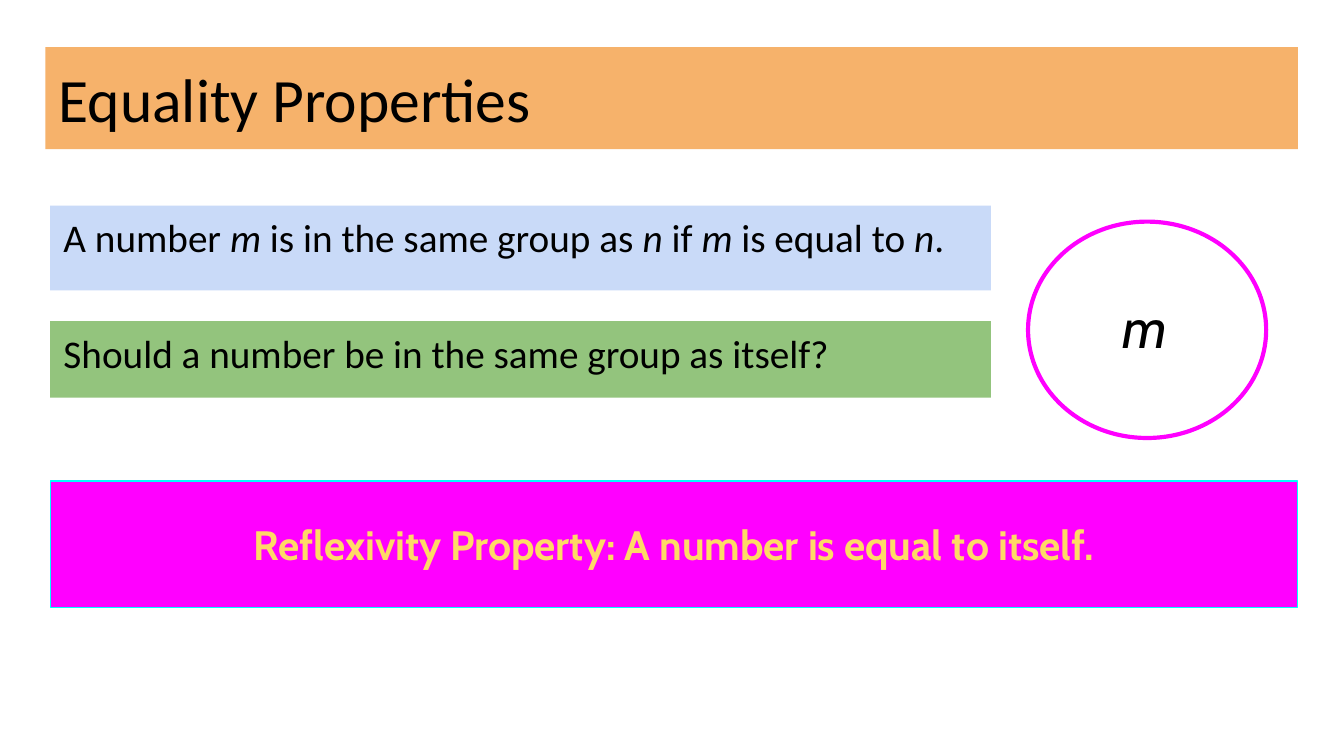
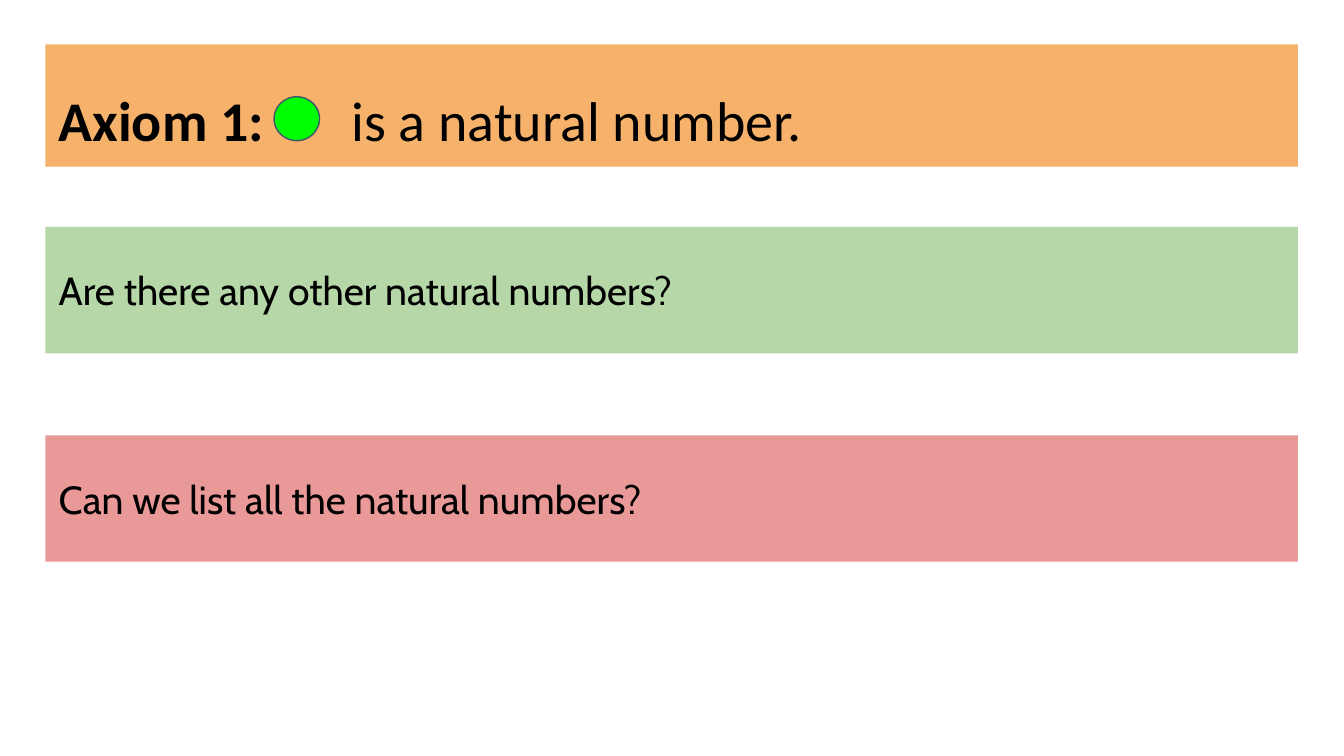
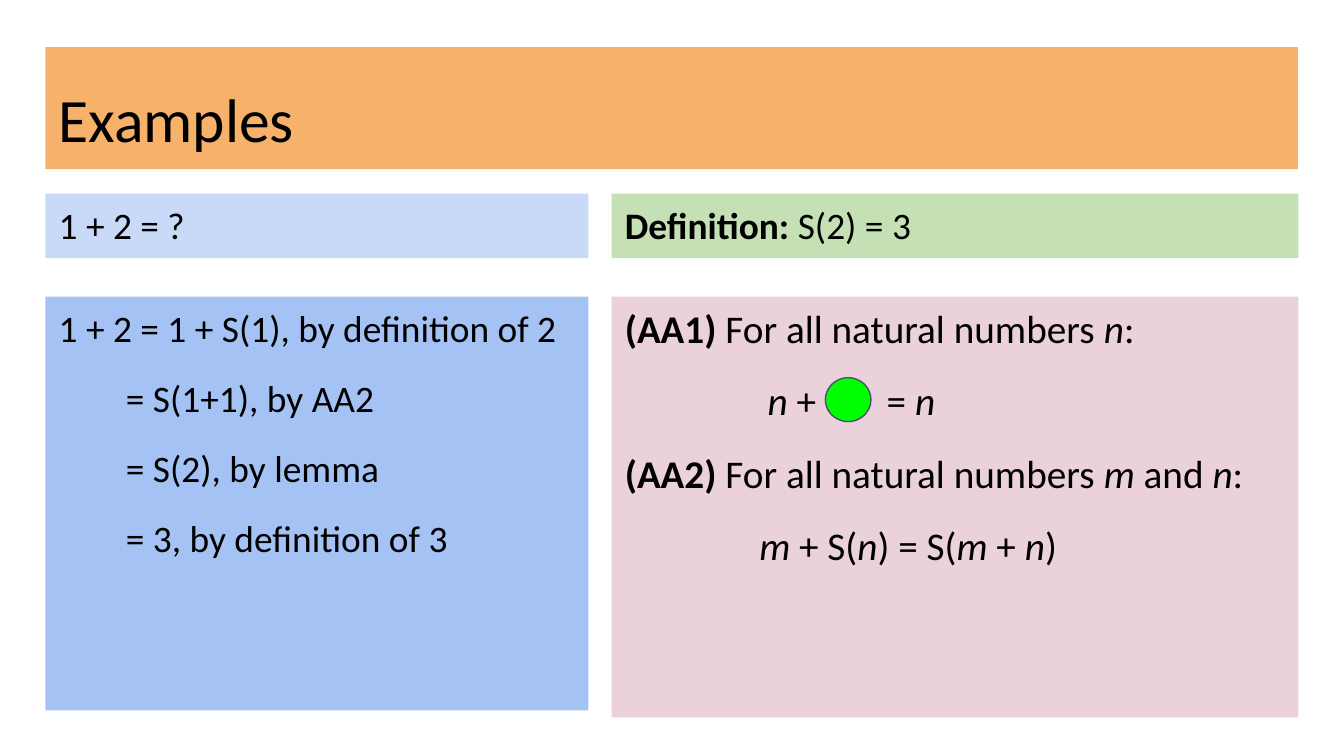
from pptx import Presentation
from pptx import util as u
from pptx.dml.color import RGBColor
from pptx.enum import shapes, text

COLORS = {
    "black": "000000",
    "orange": "F6B26B",
    "pale_blue": "C9DAF8",
    "blue": "A4C2F4",
    "green": "93C47D",
    "light_green": "B6D7A8",
    "mint": "C5E0B4",
    "red": "EA9999",
    "rose": "EAD1DC",
    "magenta": "FF00FF",
    "cyan": "00FFFF",
    "yellow": "FFD966",
    "lime": "00FF00",
    "slate": "44546A",
}
MARGIN = 0.86
BAND_WIDTH = 23.67
PADDING = u.Cm(0.25)
TOP, MIDDLE, BOTTOM = (text.MSO_ANCHOR.TOP, text.MSO_ANCHOR.MIDDLE,
                       text.MSO_ANCHOR.BOTTOM)


def color(name):
    return RGBColor.from_string(COLORS[name])


def add_gap(paragraph, points):
    """One space, widened by character spacing to leave room for a dot."""
    run = paragraph.add_run()
    run.text = " "
    run.font._element.set("spc", str(points * 100))


def add_runs(paragraph, marked, gap):
    """*Stars* mark bold, _underscores_ italic, and a tilde a wide gap."""
    for k, segment in enumerate(marked.split("~")):
        if k:
            add_gap(paragraph, gap)
        for i, part in enumerate(segment.split("*")):
            for j, piece in enumerate(part.split("_")):
                if piece:
                    run = paragraph.add_run()
                    run.text = piece
                    run.font.bold = i % 2 == 1
                    run.font.italic = j % 2 == 1


def write(shape, lines, size, font="Calibri", ink="black", anchor=TOP,
          align=text.PP_ALIGN.LEFT, spacing=0.9):
    """Each line is marked text, or a pair of marked text and layout options."""
    frame = shape.text_frame
    frame.word_wrap = True
    frame.vertical_anchor = anchor
    frame.margin_left = frame.margin_right = PADDING
    frame.margin_top = frame.margin_bottom = PADDING
    for index, line in enumerate(lines):
        marked, options = (line, {}) if isinstance(line, str) else line
        paragraph = frame.add_paragraph() if index else frame.paragraphs[0]
        paragraph.alignment = align
        paragraph.line_spacing = spacing
        if index:
            paragraph.space_before = u.Pt(16)
        properties = paragraph._p.get_or_add_pPr()
        properties.set("marL", str(u.Cm(options.get("left", 0))))
        properties.set("indent", str(u.Cm(options.get("first", 0))))
        add_runs(paragraph, marked, options.get("gap", 0))
        for run in paragraph.runs:
            run.font.size = u.Pt(size)
            run.font.name = font
            run.font.color.rgb = color(ink)


def add_figure(slide, kind, box, fill=None, line=None, weight=0.75):
    shape = slide.shapes.add_shape(kind, *map(u.Cm, box))
    shape.shadow.inherit = False
    if fill:
        shape.fill.solid()
        shape.fill.fore_color.rgb = color(fill)
    else:
        shape.fill.background()
    if line:
        shape.line.color.rgb = color(line)
        shape.line.width = u.Pt(weight)
    else:
        shape.line.fill.background()
    return shape


def add_panel(slide, box, fill, lines, size, line=None, **style):
    panel = add_figure(slide, shapes.MSO_SHAPE.RECTANGLE, box, fill, line)
    write(panel, lines, size, **style)


def add_title(slide, title, top=0.89, height=2.31, size=33, **options):
    add_panel(slide, (MARGIN, top, BAND_WIDTH, height), "orange",
              [(title, options)], size, anchor=BOTTOM)


def add_zero_dot(slide, left, top):
    add_figure(slide, shapes.MSO_SHAPE.OVAL, (left, top, 0.86, 0.83),
               "lime", "slate")


def build_equality(slide):
    add_title(slide, "Equality Properties", height=1.93)

    # Statement and question
    left = 0.95
    add_panel(slide, (left, 3.89, 17.78, 1.6), "pale_blue",
              ["A number _m_ is in the same group as _n_ if _m_ is equal to _n_."],
              21)
    add_panel(slide, (left, 6.07, 17.78, 1.45), "green",
              ["Should a number be in the same group as itself?"], 21)

    # Group holding m
    add_figure(slide, shapes.MSO_SHAPE.OVAL, (19.43, 4.19, 4.5, 4.09),
               line="magenta", weight=2.25)
    label = slide.shapes.add_textbox(*map(u.Cm, (20.96, 5.28, 2.08, 2.39)))
    write(label, ["_m_"], 30, font="Cabin", spacing=1.0)

    # Conclusion
    add_panel(slide, (left, 9.09, 23.57, 2.39), "magenta",
              ["*Reflexivity Property: A number is equal to itself.*"], 22,
              line="cyan", font="Cabin", ink="yellow", anchor=MIDDLE,
              align=text.PP_ALIGN.CENTER, spacing=1.0)


def build_axiom(slide):
    add_title(slide, "*Axiom 1:*~is a natural number.", top=0.84, size=30,
              gap=40)

    # Questions
    questions = [
        (4.29, "light_green", "Are there any other natural numbers?"),
        (8.23, "red", "Can we list all the natural numbers?"),
    ]
    for top, fill, question in questions:
        add_panel(slide, (MARGIN, top, BAND_WIDTH, 2.39), fill, [question], 21,
                  font="Cabin", anchor=MIDDLE, spacing=1.0)
    add_zero_dot(slide, 5.18, 1.83)


def build_examples(slide):
    add_title(slide, "Examples")
    left_column, right_column = (MARGIN, 10.26), (11.56, 12.98)

    # Headers of the two columns
    headers = [
        (left_column, "pale_blue", "1 + 2 = ?"),
        (right_column, "mint", "*Definition: *S(2) = 3"),
    ]
    for (left, width), fill, header in headers:
        add_panel(slide, (left, 3.66, width, 1.22), fill, [header], 20)

    # Worked sum
    left, width = left_column
    steps = ["= S(1+1), by AA2", "= S(2), by lemma", "= 3, by definition of 3"]
    add_panel(slide, (left, 5.61, width, 7.82), "blue",
              ["1 + 2 = 1 + S(1), by definition of 2"]
              + [(step, {"first": 1.27}) for step in steps], 20)

    # Addition axioms
    left, width = right_column
    add_panel(slide, (left, 5.61, width, 7.95), "rose", [
        "*(AA1)* For all natural numbers _n_:",
        ("_n_ +~= _n_", {"left": 2.7, "gap": 33}),
        "*(AA2)* For all natural numbers _m_ and _n_:",
        ("_m_ + S(_n_) = S(_m_ + _n_)", {"left": 2.54}),
    ], 21)
    add_zero_dot(slide, 15.6, 7.14)


def main():
    presentation = Presentation()
    presentation.slide_width = u.Cm(25.4)
    presentation.slide_height = u.Cm(14.29)
    blank = presentation.slide_layouts[6]
    for build in (build_equality, build_axiom, build_examples):
        build(presentation.slides.add_slide(blank))
    presentation.save("out.pptx")


if __name__ == "__main__":
    main()
